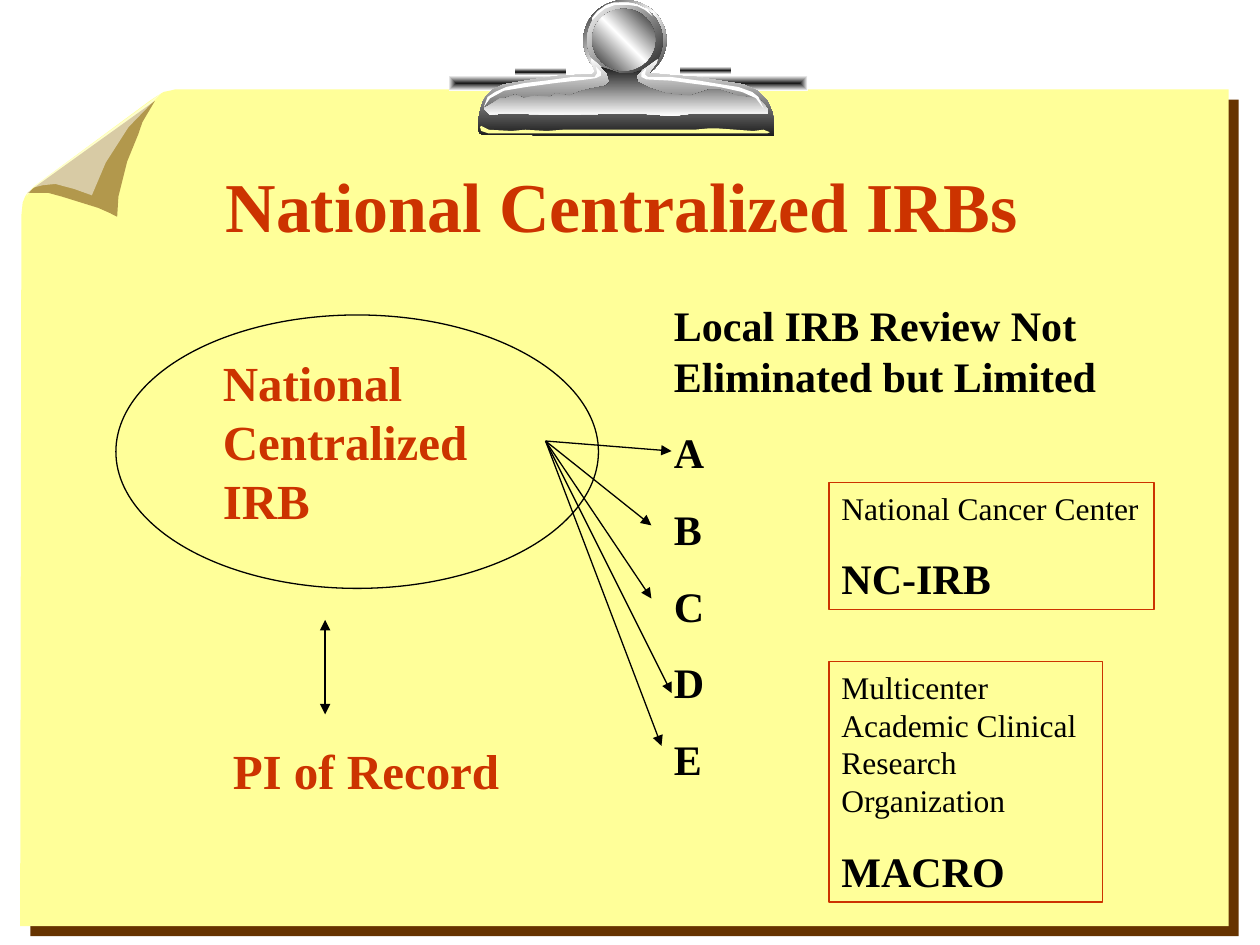
import pptx
import pptx.dml.color
import pptx.enum.shapes
import pptx.enum.text
import pptx.oxml
import pptx.oxml.ns
import pptx.util
from lxml import etree

Inches = pptx.util.Inches
Pt = pptx.util.Pt
SHAPES = pptx.enum.shapes.MSO_SHAPE
ANCHOR = pptx.enum.text.MSO_ANCHOR
qn = pptx.oxml.ns.qn

FONT = "Times New Roman"
COLORS = {"paper": "FFFF99", "brown": "663300", "red": "CC3300",
          "black": "000000", "white": "FFFFFF", "steel": "1C1C1C"}
DARK_TO_LIGHT = ("steel", "white")
LIGHT_TO_DARK = ("white", "steel")
SHINE = ("steel", "white", "steel")
GROOVE = ("white", "steel", "white")

# Outlines of the paper and the clip, in inches
PAPER = [(1.35, .72), (1.39, .71), (9.75, .71), (9.75, 7.35), (.16, 7.35), (.17, 1.71),
         (.18, 1.61), (.2, 1.56), (.22, 1.53), (.27, 1.48), (1.19, .8), (1.25, .76),
         (1.3, .73)]
CURL_SHADE = [(.49, 1.56), (.78, 1.65), (.87, 1.69), (.93, 1.72), (.94, 1.56), (.96, 1.48),
              (1.01, 1.28), (1.1, 1.06), (1.13, .97), (1.23, .8), (.27, 1.49), (.22, 1.53),
              (.38, 1.53)]
CURL_LIGHT = [(.21, 1.56), (.23, 1.51), (.31, 1.45), (1.28, .74), (1.02, 1.01), (.84, 1.29),
              (.73, 1.55), (.59, 1.5), (.44, 1.46), (.34, 1.47), (.26, 1.49)]
KNOB_GLINT = [(5.18, .13), (5.14, .07), (5.05, .03), (4.99, .02), (4.87, .02), (4.81, .04),
              (4.74, .09), (4.7, .14), (4.7, .16), (4.75, .11), (4.8, .07), (4.88, .04),
              (4.99, .04), (5.06, .05), (5.12, .08)]
CLIP_BODY = [(3.81, 1.06), (3.84, 1.07), (6.14, 1.08), (6.14, .95), (6.13, .89), (6.09, .8),
             (6.01, .72), (5.9, .67), (5.77, .65), (5.52, .61), (5.36, .6), (5.15, .58),
             (5.21, .5), (5.22, .47), (5.14, .53), (5.08, .57), (5.03, .59), (4.94, .59),
             (4.85, .58), (4.78, .54), (4.69, .46), (4.7, .51), (4.72, .57), (4.7, .59),
             (4.45, .6), (4.24, .63), (4, .67), (3.91, .71), (3.86, .76), (3.83, .81),
             (3.81, .88), (3.79, .98), (3.79, 1.02)]
LEFT_GLINT = [(3.84, .85), (3.87, .77), (3.93, .73), (4.02, .69), (4.16, .66), (4.33, .64),
              (4.55, .61), (4.72, .61), (4.74, .58), (4.73, .53), (4.77, .57), (4.77, .6),
              (4.73, .62), (4.66, .63), (4.4, .66), (4.18, .69), (4, .72), (3.89, .78)]
RIGHT_GLINT = [(6.06, .86), (6.02, .77), (5.97, .73), (5.86, .69), (5.73, .67), (5.55, .64),
               (5.32, .61), (5.14, .61), (5.12, .59), (5.13, .54), (5.09, .58), (5.09, .61),
               (5.13, .63), (5.33, .64), (5.47, .66), (5.71, .69), (5.89, .73), (6, .78)]
CLIP_EDGE = [(3.82, 1), (3.81, 1.01), (3.82, 1.04), (3.88, 1.06), (6.09, 1.06), (6.11, 1.05),
             (6.06, 1.03), (5.98, 1.04), (5.7, 1.02), (5.62, 1.02), (5.51, 1.03), (4.47, 1.03),
             (4.34, 1.04), (4.17, 1.03), (4.06, 1.04), (3.88, 1.03)]
CLIP_HOLLOW = [(4.01, .78), (3.97, .78), (3.91, .82), (3.84, .86), (3.89, .91), (4.01, .9),
               (4.4, .91), (5.07, .9), (5.34, .92), (5.5, .9), (6.1, .9), (6.09, .86),
               (6.04, .8), (6, .78), (5.85, .76), (5.71, .71), (5.63, .71), (5.48, .76),
               (5.36, .75), (5.28, .74), (5.16, .7), (5.06, .65), (5.05, .6), (5.09, .56),
               (5.03, .58), (4.91, .58), (4.77, .53), (4.82, .58), (4.84, .65), (4.81, .68),
               (4.71, .7), (4.62, .72), (4.52, .76), (4.41, .74), (4.37, .77), (4.24, .76),
               (4.16, .78), (4.09, .75)]


def rgb(name):
    return pptx.dml.color.RGBColor.from_string(COLORS[name])


def fill_solid(shape, color, alpha=None):
    shape.fill.solid()
    shape.fill.fore_color.rgb = rgb(color)
    if alpha:
        tone = shape._element.spPr.find(qn("a:solidFill"))[0]
        etree.SubElement(tone, qn("a:alpha"), val=str(alpha * 1000))


def fill_gradient(shape, colors, angle=None):
    """Even stops along an angle, or outwards from the centre without one."""
    shape.fill.gradient()
    gradient = shape._element.spPr.find(qn("a:gradFill"))
    for child in list(gradient):
        gradient.remove(child)
    stops = etree.SubElement(gradient, qn("a:gsLst"))
    for index, color in enumerate(colors):
        position = index * 100000 // (len(colors) - 1)
        stop = etree.SubElement(stops, qn("a:gs"), pos=str(position))
        etree.SubElement(stop, qn("a:srgbClr"), val=COLORS[color])
    if angle is None:
        centre = etree.SubElement(gradient, qn("a:path"), path="rect")
        etree.SubElement(centre, qn("a:fillToRect"), l="50000", t="50000", r="50000", b="50000")
    else:
        etree.SubElement(gradient, qn("a:lin"), ang=str(angle * 60000), scaled="1")


def add_outline(page, points, shift=0):
    start, *rest = [(Inches(x + shift), Inches(y + shift)) for x, y in points]
    builder = page.shapes.build_freeform(*start)
    builder.add_line_segments(rest, close=True)
    shape = builder.convert_to_shape()
    shape.shadow.inherit = False
    shape.line.fill.background()
    return shape


def add_preset(page, kind, frame, line=None):
    shape = page.shapes.add_shape(kind, *map(Inches, frame))
    shape.shadow.inherit = False
    shape.fill.background()
    if line:
        shape.line.color.rgb = rgb(line)
        shape.line.width = Pt(0.75)
    else:
        shape.line.fill.background()
    return shape


def write_text(box, lines, color, gap=0):
    """Each line is (text, size, bold); gap is the space before later lines."""
    frame = box.text_frame
    frame.word_wrap = True
    frame.vertical_anchor = ANCHOR.TOP
    for index, (text, size, bold) in enumerate(lines):
        para = frame.paragraphs[0] if index == 0 else frame.add_paragraph()
        para.text = text
        para.alignment = pptx.enum.text.PP_ALIGN.LEFT
        if index:
            para.space_before = Pt(gap)
        para.font.name = FONT
        para.font.size = Pt(size)
        para.font.bold = bold
        para.font.color.rgb = rgb(color)


def add_text(page, frame, lines, color, gap=0):
    write_text(page.shapes.add_textbox(*map(Inches, frame)), lines, color, gap)


def add_arrow(page, start, end, both_ends=False):
    arrow = page.shapes.add_connector(pptx.enum.shapes.MSO_CONNECTOR.STRAIGHT,
                                      *map(Inches, start + end))
    arrow.line.color.rgb = rgb("black")
    arrow.line.width = Pt(0.75)
    line = arrow.line._get_or_add_ln()
    for tag in ("a:headEnd", "a:tailEnd") if both_ends else ("a:tailEnd",):
        etree.SubElement(line, qn(tag), type="triangle")
    etree.SubElement(arrow._element.spPr, qn("a:effectLst"))


def add_clipboard(page):
    # Paper with a hard shadow and a curled corner
    fill_solid(add_outline(page, PAPER, shift=0.08), "brown")
    fill_solid(add_outline(page, PAPER), "paper")
    fill_solid(add_outline(page, CURL_SHADE), "brown", alpha=50)
    fill_solid(add_outline(page, CURL_LIGHT), "white", alpha=50)
    # Clip: bars, knob, body
    for kind, frame, colors, angle in (
            (SHAPES.RECTANGLE, (3.56, 0.6, 2.85, 0.12), DARK_TO_LIGHT, None),
            (SHAPES.RECTANGLE, (4.09, 0.54, 0.4, 0.06), GROOVE, 90),
            (SHAPES.RECTANGLE, (5.4, 0.53, 0.4, 0.06), GROOVE, 90),
            (SHAPES.OVAL, (4.63, 0, 0.66, 0.64), SHINE, 225),
            (SHAPES.OVAL, (4.66, 0.02, 0.6, 0.6), DARK_TO_LIGHT, 225)):
        fill_gradient(add_preset(page, kind, frame), colors, angle)
    fill_solid(add_outline(page, KNOB_GLINT), "white")
    fill_gradient(add_preset(page, SHAPES.OVAL, (4.7, 0.07, 0.5, 0.49)), SHINE, 135)
    fill_gradient(add_outline(page, CLIP_BODY), LIGHT_TO_DARK, 90)
    fill_solid(add_outline(page, LEFT_GLINT), "white")
    fill_solid(add_outline(page, CLIP_EDGE), "paper")
    fill_gradient(add_outline(page, CLIP_HOLLOW), DARK_TO_LIGHT, 90)
    fill_solid(add_outline(page, RIGHT_GLINT), "white")


def add_title(page, text):
    title = page.shapes.title
    title.left, title.top, title.width, title.height = map(Inches, (0.52, 1.29, 8.83, 1.25))
    write_text(title, [(text, 40, True)], "red")
    title.text_frame.margin_top = 0
    title.text_frame.paragraphs[0].alignment = pptx.enum.text.PP_ALIGN.CENTER
    page.shapes._spTree.append(title._element)  # in front of the paper


def main():
    deck = pptx.Presentation()
    deck.slide_width, deck.slide_height = Inches(10), Inches(7.5)
    page = deck.slides.add_slide(deck.slide_layouts[5])
    add_clipboard(page)
    add_title(page, "National Centralized IRBs")

    # Central board, investigator and local sites
    add_preset(page, SHAPES.OVAL, (0.92, 2.5, 3.83, 2.17), "black")
    add_text(page, (1.67, 2.75, 2.67, 1.5), [("National Centralized IRB", 28, True)], "red")
    sites = ["Local IRB Review Not Eliminated but Limited", *"ABCDE"]
    add_text(page, (5.25, 2.33, 4.25, 3.94), [(site, 24, True) for site in sites], "black", 15)
    add_text(page, (1.75, 5.83, 2.67, 0.57), [("PI of Record", 28, True)], "red")

    # Arrows
    add_arrow(page, (2.58, 4.92), (2.58, 5.67), both_ends=True)
    for end in ((5.33, 3.58), (5.17, 4.17), (5.17, 4.75), (5.33, 5.5), (5.25, 5.92)):
        add_arrow(page, (4.33, 3.5), end)

    # Example boards
    for frame, name, short in (
            ((6.58, 5.25, 2.17, 1.91),
             "Multicenter Academic Clinical Research Organization", "MACRO"),
            ((6.58, 3.83, 2.58, 1.01), "National Cancer Center", "NC-IRB")):
        board = add_preset(page, SHAPES.RECTANGLE, frame, "red")
        write_text(board, [(name, 18, False), (short, 24, True)], "black", 15)

    deck.save("out.pptx")


if __name__ == "__main__":
    main()
